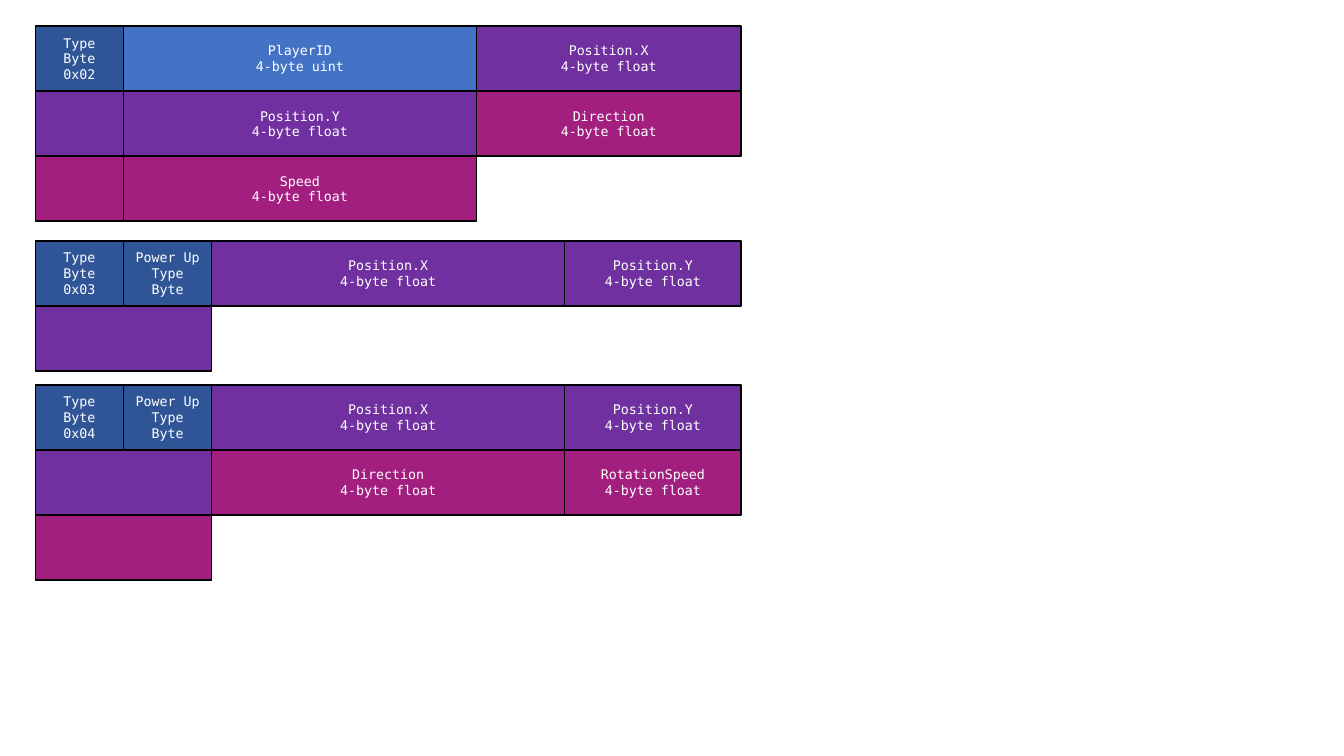
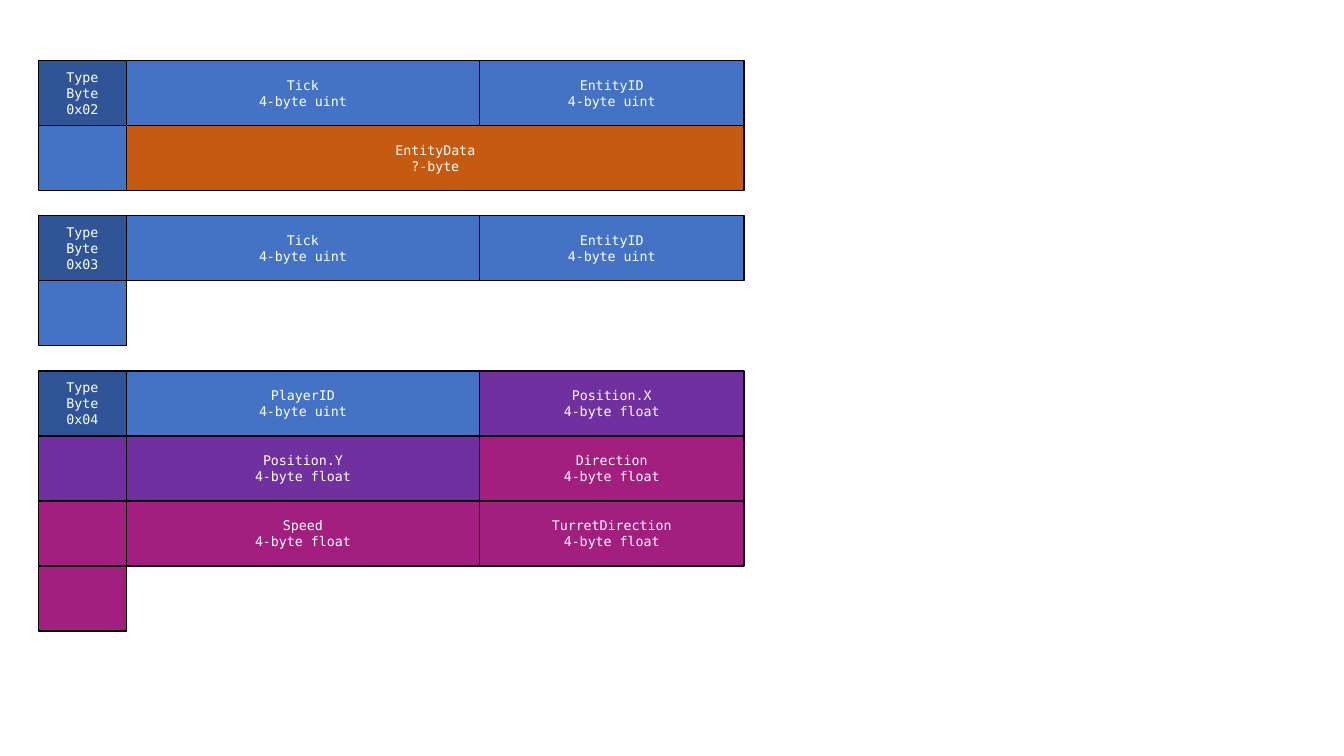
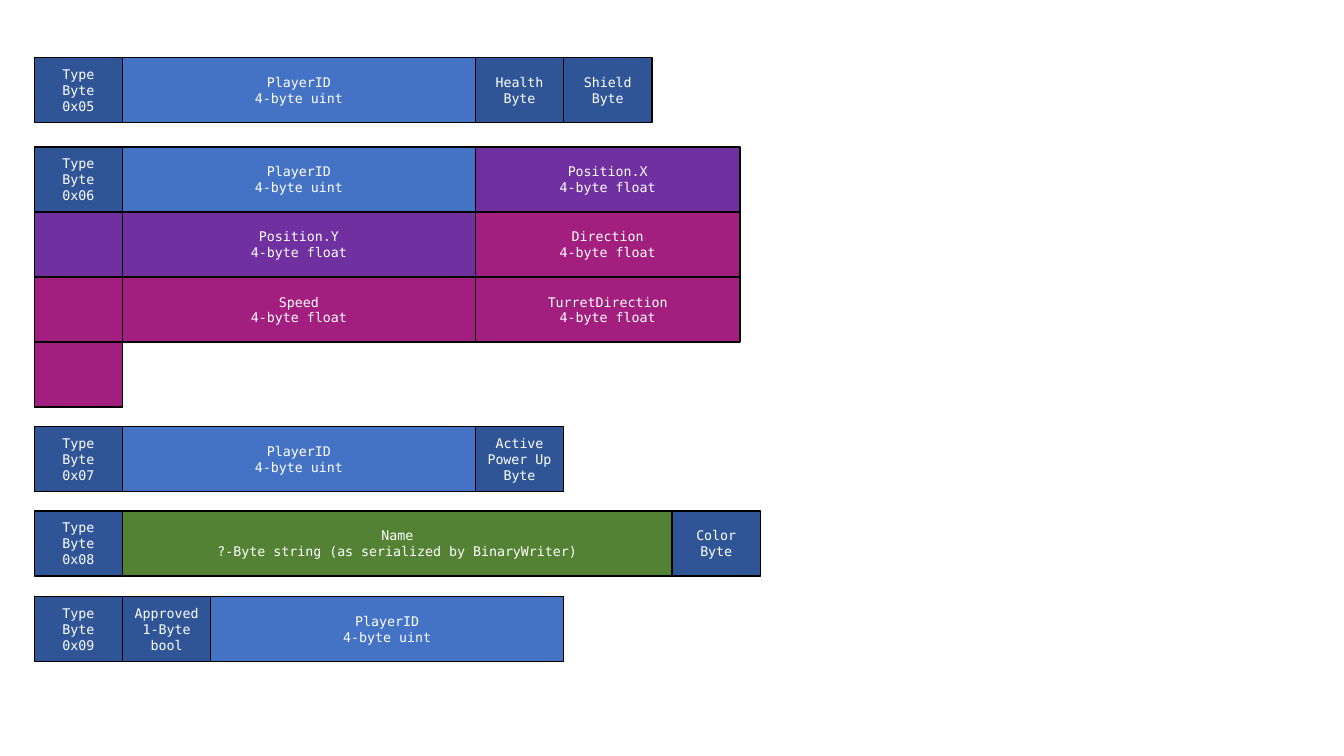
from dataclasses import dataclass

from pptx import Presentation
from pptx import util as u
from pptx.dml.color import RGBColor
from pptx.enum import shapes, text

NAVY = RGBColor(0x2F, 0x55, 0x97)
BLUE = RGBColor(0x44, 0x72, 0xC4)
PURPLE = RGBColor(0x70, 0x30, 0xA0)
MAGENTA = RGBColor(0xA2, 0x1E, 0x7F)
ORANGE = RGBColor(0xC5, 0x5A, 0x11)
GREEN = RGBColor(0x54, 0x82, 0x35)
BLACK = RGBColor(0, 0, 0)
WHITE = RGBColor(0xFF, 0xFF, 0xFF)

FONT = "DejaVu Sans Mono"
BYTE_WIDTH = 7 / 8
ROW_HEIGHT = 1.29 / 2
ROW_BYTES = 8


@dataclass
class Field:
    label: str
    color: RGBColor
    size: float


def type_byte(code):
    return Field(f"Type\nByte\n{code}", NAVY, 1)


def byte(label):
    return Field(label, NAVY, 1)


def uint(name):
    return Field(f"{name}\n4-byte uint", BLUE, 4)


def number(name, color):
    return Field(f"{name}\n4-byte float", color, 4)


POWER_UP = byte("Power Up\nType\nByte")
PLAYER = uint("PlayerID")
TICK = uint("Tick")
ENTITY = uint("EntityID")
POSITION = [number("Position.X", PURPLE), number("Position.Y", PURPLE)]
DIRECTION = number("Direction", MAGENTA)
MOVEMENT = [PLAYER, *POSITION, DIRECTION, number("Speed", MAGENTA)]
TURRET_MOVEMENT = [*MOVEMENT, number("TurretDirection", MAGENTA)]
ENTITY_DATA = Field("EntityData\n?-byte", ORANGE, 7)
NAME = Field("Name\n?-Byte string (as serialized by BinaryWriter)", GREEN, 6.23)


def add_cell(group, left, top, width, color, label):
    box = group.shapes.add_shape(
        shapes.MSO_SHAPE.RECTANGLE,
        u.Inches(left), u.Inches(top), u.Inches(width), u.Inches(ROW_HEIGHT))
    box.shadow.inherit = False
    box.fill.solid()
    box.fill.fore_color.rgb = color
    box.line.color.rgb = BLACK
    box.line.width = u.Pt(1)
    if not label:
        return
    frame = box.text_frame
    frame.word_wrap = True
    frame.vertical_anchor = text.MSO_ANCHOR.MIDDLE
    para = frame.paragraphs[0]
    para.alignment = text.PP_ALIGN.CENTER
    for index, line in enumerate(label.split("\n")):
        if index:
            para.add_line_break()
        span = para.add_run()
        span.text = line
        span.font.name = FONT
        span.font.size = u.Pt(9.5)
        span.font.color.rgb = WHITE


def add_packet(page, left, top, fields, row_bytes=ROW_BYTES):
    group = page.shapes.add_group_shape()
    row = column = 0
    for field in fields:
        label, remaining = field.label, field.size
        while remaining > 0:
            if column >= row_bytes:
                row, column = row + 1, 0
            part = min(remaining, row_bytes - column)
            add_cell(group, left + column * BYTE_WIDTH, top + row * ROW_HEIGHT,
                     part * BYTE_WIDTH, field.color, label)
            column += part
            remaining -= part
            label = ""


def add_packet_page(deck, left, packets):
    page = deck.slides.add_slide(deck.slide_layouts[6])
    for top, *fields in packets:
        row_bytes = ROW_BYTES + 1 if NAME in fields else ROW_BYTES
        add_packet(page, left, top, fields, row_bytes)


deck = Presentation()
deck.slide_width = u.Inches(13.33)
deck.slide_height = u.Inches(7.5)

add_packet_page(deck, 0.35, [
    (0.26, type_byte("0x02"), *MOVEMENT),
    (2.39, type_byte("0x03"), POWER_UP, *POSITION),
    (3.82, type_byte("0x04"), POWER_UP, *POSITION, DIRECTION,
     number("RotationSpeed", MAGENTA)),
])
add_packet_page(deck, 0.38, [
    (0.6, type_byte("0x02"), TICK, ENTITY, ENTITY_DATA),
    (2.14, type_byte("0x03"), TICK, ENTITY),
    (3.68, type_byte("0x04"), *TURRET_MOVEMENT),
])
add_packet_page(deck, 0.34, [
    (0.57, type_byte("0x05"), PLAYER, byte("Health\nByte"), byte("Shield\nByte")),
    (1.46, type_byte("0x06"), *TURRET_MOVEMENT),
    (4.23, type_byte("0x07"), PLAYER, byte("Active Power Up\nByte")),
    (5.07, type_byte("0x08"), NAME, byte("Color\nByte")),
    (5.92, type_byte("0x09"), byte("Approved\n1-Byte bool"), PLAYER),
])

deck.save("out.pptx")
